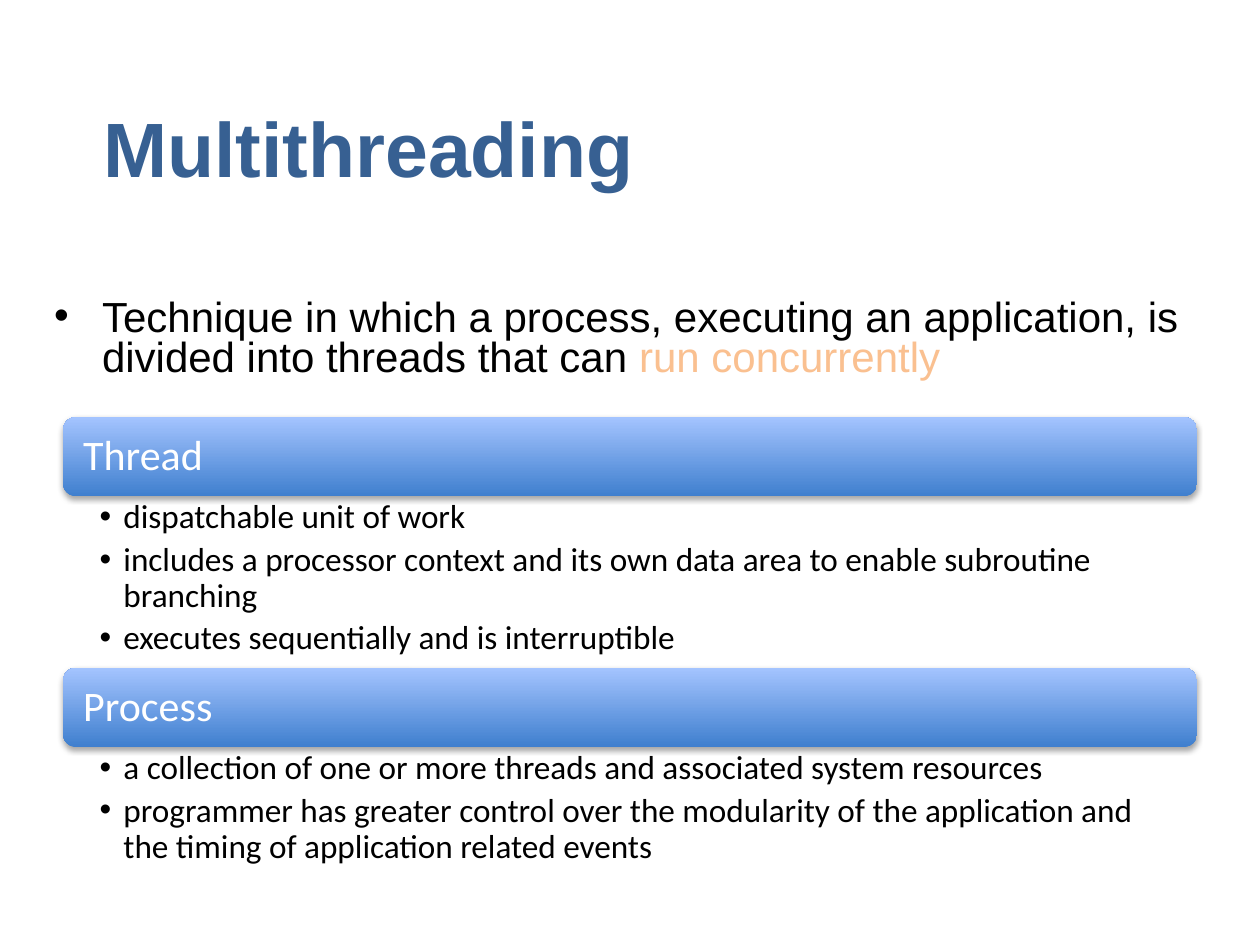
from lxml.etree import SubElement
from pptx import Presentation
from pptx.dml.color import RGBColor
from pptx.enum.shapes import MSO_SHAPE as Shape
from pptx.enum.text import MSO_ANCHOR as Anchor, MSO_AUTO_SIZE as AutoSize, PP_ALIGN as Align
from pptx.oxml import parse_xml
from pptx.oxml.ns import nsdecls, qn
from pptx.util import Inches, Pt

COLORS = {
    "title": "376092",
    "text": "000000",
    "highlight": "FAC090",
    "bar_text": "FFFFFF",
    "bar_dark": "3F7FCE",
    "bar_light": "A4C4FF",
}
TITLE = "Multithreading"
DEFINITION = [
    ("Technique in which a process, executing an application, is divided into threads that can ", "text"),
    ("run concurrently", "highlight"),
]
SECTIONS = [
    ("Thread", 1.36, [
        "dispatchable unit of work",
        "includes a processor context and its own data area to enable subroutine branching",
        "executes sequentially and is interruptible",
    ]),
    ("Process", 1.01, [
        "a collection of one or more threads and associated system resources",
        "programmer has greater control over the modularity of the application and "
        "the timing of application related events",
    ]),
]
LEFT, WIDTH, BAR_HEIGHT, FIRST_TOP = 0.5, 9, 0.63, 3.31


def apply_format(target, values):
    for name, value in values.items():
        setattr(target, name, value)


def place(shape, left, top, width, height):
    box = dict(left=left, top=top, width=width, height=height)
    apply_format(shape, {name: Inches(value) for name, value in box.items()})


def set_frame(frame, anchor, left=0.1, top=0.05, right=0.1, bottom=0.05):
    margins = dict(left=left, top=top, right=right, bottom=bottom)
    apply_format(frame, {f"margin_{side}": Inches(value) for side, value in margins.items()})
    apply_format(frame, dict(word_wrap=True, auto_size=AutoSize.NONE, vertical_anchor=anchor))


def add_run(paragraph, text, color, size, font_name, bold=False):
    run = paragraph.add_run()
    run.text = text
    apply_format(run.font, dict(size=Pt(size), name=font_name, bold=bold))
    run.font.color.rgb = RGBColor.from_string(COLORS[color])


def add_bullet(paragraph, indent):
    properties = paragraph._p.get_or_add_pPr()
    properties.set("marL", str(Inches(indent)))
    properties.set("indent", str(-Inches(indent)))
    SubElement(properties, qn("a:buFont")).set("typeface", "Arial")
    SubElement(properties, qn("a:buChar")).set("char", "•")


def add_bar(slide, heading, top):
    bar = slide.shapes.add_shape(Shape.ROUNDED_RECTANGLE, 0, 0, 0, 0)
    place(bar, LEFT, top, WIDTH, BAR_HEIGHT)
    bar.line.fill.background()
    bar.fill.gradient()
    bar.fill.gradient_angle = 90
    for stop, color in zip(bar.fill.gradient_stops, ("bar_dark", "bar_light")):
        stop.color.rgb = RGBColor.from_string(COLORS[color])
    bar._element.spPr.append(parse_xml(
        f'<a:effectLst {nsdecls("a")}><a:outerShdw blurRad="{Pt(3.1)}" dist="{Pt(1.8)}" '
        'dir="5400000" rotWithShape="0"><a:srgbClr val="000000"><a:alpha val="35000"/>'
        '</a:srgbClr></a:outerShdw></a:effectLst>'))
    set_frame(bar.text_frame, Anchor.MIDDLE, left=0.13, right=0.13)
    paragraph = bar.text_frame.paragraphs[0]
    apply_format(paragraph, dict(alignment=Align.LEFT, line_spacing=0.9))
    add_run(paragraph, heading, "bar_text", 24, "Calibri")


def add_points(slide, points, top, height):
    box = slide.shapes.add_textbox(0, 0, 0, 0)
    place(box, LEFT, top, WIDTH, height)
    frame = box.text_frame
    set_frame(frame, Anchor.TOP, 0.29, 0.03, 0.19, 0.03)
    for index, point in enumerate(points):
        paragraph = frame.add_paragraph() if index else frame.paragraphs[0]
        apply_format(paragraph, dict(level=1, line_spacing=0.9, space_after=Pt(3.8)))
        add_bullet(paragraph, 0.19)
        add_run(paragraph, point, "text", 19, "Calibri")


def main():
    presentation = Presentation()
    apply_format(presentation, dict(slide_width=Inches(10), slide_height=Inches(7.5)))
    slide = presentation.slides.add_slide(presentation.slide_layouts[1])

    title, body = slide.placeholders
    place(title, 0.72, 0.5, 8.56, 1.33)
    set_frame(title.text_frame, Anchor.MIDDLE)
    heading = title.text_frame.paragraphs[0]
    heading.alignment = Align.LEFT
    add_run(heading, TITLE, "title", 44, "Arial", bold=True)

    place(body, 0.33, 2.33, 9.17, 5.03)
    set_frame(body.text_frame, Anchor.TOP)
    definition = body.text_frame.paragraphs[0]
    apply_format(definition, dict(line_spacing=0.8, space_before=Pt(0)))
    add_bullet(definition, 0.38)
    for text, color in DEFINITION:
        add_run(definition, text, color, 24, "Arial")

    top = FIRST_TOP
    for name, points_height, points in SECTIONS:
        add_bar(slide, name, top)
        add_points(slide, points, top + BAR_HEIGHT, points_height)
        top += BAR_HEIGHT + points_height

    presentation.save("out.pptx")


if __name__ == "__main__":
    main()
